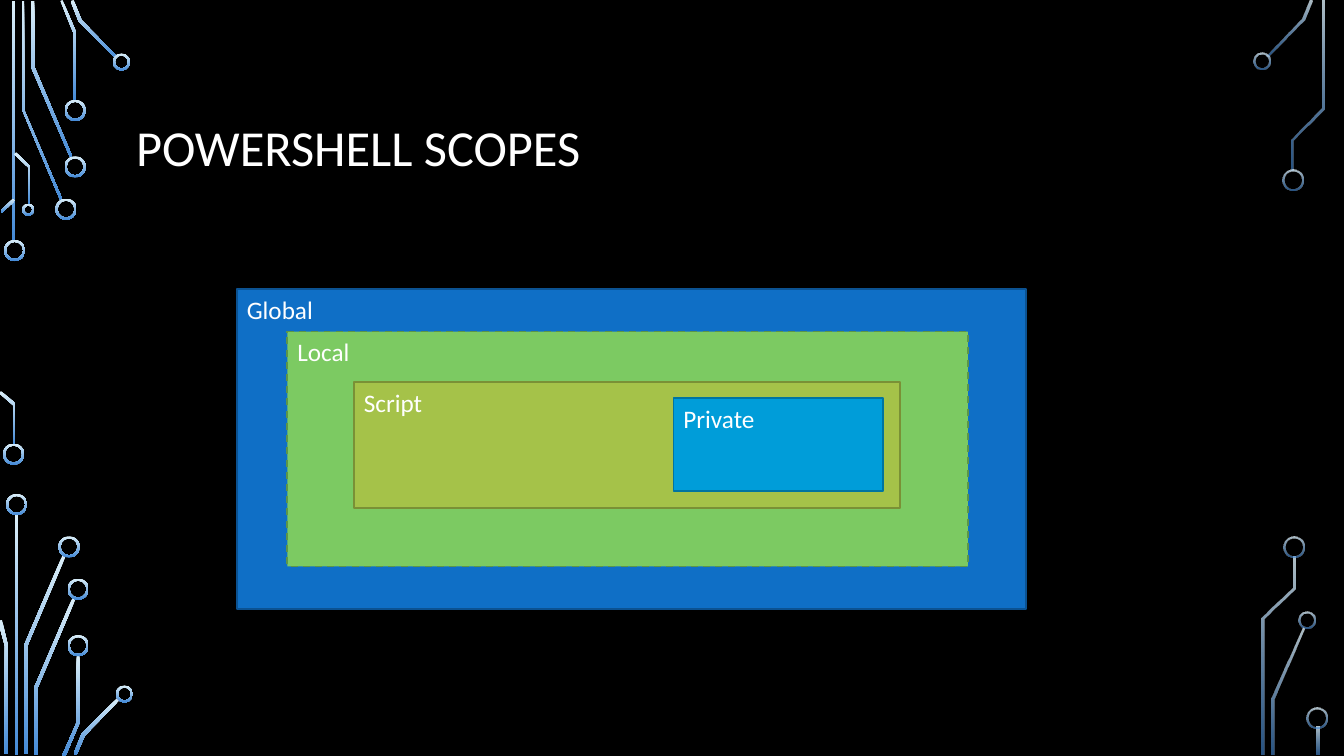
from pptx import Presentation
from pptx.dml.color import RGBColor
from pptx.enum import dml, shapes, text
from pptx.oxml.ns import qn
from pptx.util import Inches, Pt
from lxml import etree

BLACK = RGBColor(0x00, 0x00, 0x00)
WHITE = RGBColor(0xFF, 0xFF, 0xFF)
PALE_BLUE = RGBColor(0xDB, 0xEF, 0xF9)
MID_BLUE = RGBColor(0x44, 0x8A, 0xD7)
BLUE, DARK_BLUE = RGBColor(0x0F, 0x6F, 0xC6), RGBColor(0x0B, 0x52, 0x92)
GREEN, DARK_GREEN = RGBColor(0x7C, 0xCA, 0x62), RGBColor(0x5C, 0x95, 0x49)
OLIVE, DARK_OLIVE = RGBColor(0xA5, 0xC2, 0x49), RGBColor(0x7A, 0x90, 0x36)
CYAN, DARK_CYAN = RGBColor(0x00, 0x9D, 0xD9), RGBColor(0x00, 0x74, 0xA1)
FONT = "Calibri"
RING_WIDTH = 0.02

# Opacity in percent at the top and bottom of each gradient
LEFT_OPACITY = (100, 100)
RIGHT_OPACITY = (80, 60)

# Circuit traces: outline points in inches
LEFT_TRACES = [
    [(0.12, 0.01), (0.15, 0.01), (0.15, 2.4), (0.12, 2.4)],
    [(0.6, 1.99), (0.22, 1.09), (0.22, 0.01), (0.24, 0.01), (0.24, 1.09), (0.62, 1.98)],
    [(0.7, 1.57), (0.31, 0.67), (0.31, 0.01), (0.34, 0.01), (0.34, 0.66), (0.72, 1.56)],
    [(0.76, 1), (0.73, 1), (0.73, 0.33), (0.6, 0.01), (0.62, 0), (0.76, 0.33)],
    [(1.15, 0.58), (0.78, 0.21), (0.7, 0.01), (0.73, 0), (0.81, 0.2), (1.16, 0.56)],
    [(0.02, 2.11), (0.01, 2.09), (0.13, 1.97), (0.15, 1.99)],
    [(0.15, 4.41), (0.13, 4.41), (0.13, 4.02), (-0.01, 3.9), (0.01, 3.88), (0.15, 4)],
    [(0.3, 2.03), (0.28, 2.03), (0.28, 1.66), (0.14, 1.53), (0.16, 1.51), (0.3, 1.65)],
    [(0.15, 5.1), (0.18, 5.1), (0.18, 7.49), (0.15, 7.49)],
    [(0.27, 7.48), (0.24, 7.48), (0.24, 6.4), (0.62, 5.51), (0.65, 5.52), (0.27, 6.41)],
    [(0.08, 7.48), (0.05, 7.48), (0.05, 6.41), (-0.02, 6.16), (0.02, 6.15), (0.08, 6.41)],
    [(0.37, 7.49), (0.34, 7.49), (0.34, 6.82), (0.72, 5.93), (0.75, 5.94), (0.37, 6.83)],
    [(0.65, 7.5), (0.62, 7.49), (0.76, 7.17), (0.76, 6.5), (0.79, 6.5), (0.79, 7.17)],
    [(0.76, 7.49), (0.73, 7.48), (0.81, 7.28), (1.17, 6.92), (1.19, 6.94), (0.84, 7.3)],
]
RIGHT_TRACES = [
    [(12.58, 0.56), (12.56, 0.55), (12.91, 0.19), (12.99, 0), (13.02, 0.01), (12.94, 0.2)],
    [(12.64, 7.49), (12.61, 7.49), (12.61, 6.93), (12.92, 6.23), (12.94, 6.24), (12.64, 6.94)],
    [(12.83, 1.69), (12.81, 1.69), (12.81, 1.38), (13.11, 1.07), (13.11, 0.01),
     (13.14, 0.01), (13.14, 1.08), (12.83, 1.39)],
    [(12.54, 7.49), (12.51, 7.49), (12.51, 6.13), (12.82, 5.83), (12.82, 5.52),
     (12.85, 5.52), (12.85, 5.84), (12.54, 6.14)],
    [(13.06, 7.21), (13.09, 7.21), (13.09, 7.49), (13.06, 7.49)],
]

# Circuit rings: left, top, diameter in inches
LEFT_RINGS = [
    (0.04, 2.38, 0.21), (0.03, 4.4, 0.21), (0.55, 1.97, 0.21), (0.64, 1.55, 0.21),
    (0.64, 0.99, 0.21), (1.12, 0.53, 0.17), (0.22, 2.02, 0.12), (0.06, 4.9, 0.21),
    (0.58, 5.32, 0.21), (0.67, 5.74, 0.21), (0.67, 6.3, 0.21), (1.15, 6.8, 0.17),
]
RIGHT_RINGS = [
    (12.43, 0.52, 0.17), (12.72, 1.68, 0.21), (12.88, 6.07, 0.17),
    (12.73, 5.32, 0.21), (12.96, 7.02, 0.21),
]

# Scopes from the outside in: name, left, top, width, height, fill, line, dash
SCOPES = [
    ("Global", 2.35, 2.87, 7.83, 3.17, BLUE, DARK_BLUE, None),
    ("Local", 2.85, 3.29, 6.75, 2.33, GREEN, DARK_GREEN, dml.MSO_LINE.DASH),
    ("Script", 3.51, 3.79, 5.42, 1.25, OLIVE, DARK_OLIVE, None),
    ("Private", 6.68, 3.95, 2.08, 0.92, CYAN, DARK_CYAN, None),
]


def paint_circuit(part, opacities):
    """Give a circuit part its top-to-bottom gradient, without outline or shadow."""
    part.shadow.inherit = False
    part.line.fill.background()
    part.fill.gradient()
    part.fill.gradient_angle = 270
    for stop, color in zip(part.fill.gradient_stops, (PALE_BLUE, MID_BLUE)):
        stop.color.rgb = color
    for color, opacity in zip(part._element.spPr.iter(qn("a:srgbClr")), opacities):
        if opacity < 100:
            etree.SubElement(color, qn("a:alpha")).set("val", str(opacity * 1000))


deck = Presentation()
deck.slide_width, deck.slide_height = Inches(13.33), Inches(7.5)
page = deck.slides.add_slide(deck.slide_layouts[5])
page.background.fill.solid()
page.background.fill.fore_color.rgb = BLACK

for traces, rings, opacities in (
    (LEFT_TRACES, LEFT_RINGS, LEFT_OPACITY),
    (RIGHT_TRACES, RIGHT_RINGS, RIGHT_OPACITY),
):
    for trace in traces:
        points = [(Inches(x), Inches(y)) for x, y in trace]
        outline = page.shapes.build_freeform(*points[0])
        outline.add_line_segments(points[1:], close=True)
        paint_circuit(outline.convert_to_shape(), opacities)
    for left, top, size in rings:
        ring = page.shapes.add_shape(
            shapes.MSO_SHAPE.DONUT, Inches(left), Inches(top), Inches(size), Inches(size))
        ring.adjustments[0] = RING_WIDTH / size
        paint_circuit(ring, opacities)

title = page.shapes.title
title.left, title.top = Inches(1.25), Inches(0.68)
title.width, title.height = Inches(10.83), Inches(1.62)
title.text_frame.text = "POWERSHELL SCOPES"
title.text_frame.vertical_anchor = text.MSO_ANCHOR.MIDDLE
para = title.text_frame.paragraphs[0]
para.alignment = text.PP_ALIGN.LEFT
para.line_spacing = 0.9
para.font.name, para.font.size = FONT, Pt(36)
para.font.color.rgb = WHITE

for name, left, top, width, height, fill, line, dash in SCOPES:
    box = page.shapes.add_shape(
        shapes.MSO_SHAPE.RECTANGLE, Inches(left), Inches(top), Inches(width), Inches(height))
    box.shadow.inherit = False
    box.fill.solid()
    box.fill.fore_color.rgb = fill
    box.line.color.rgb = line
    box.line.width = Pt(1.25)
    if dash:
        box.line.dash_style = dash
    box.text_frame.text = name
    box.text_frame.vertical_anchor = text.MSO_ANCHOR.TOP
    para = box.text_frame.paragraphs[0]
    para.alignment = text.PP_ALIGN.LEFT
    para.font.name, para.font.size = FONT, Pt(18)
    para.font.color.rgb = WHITE

deck.save("out.pptx")
